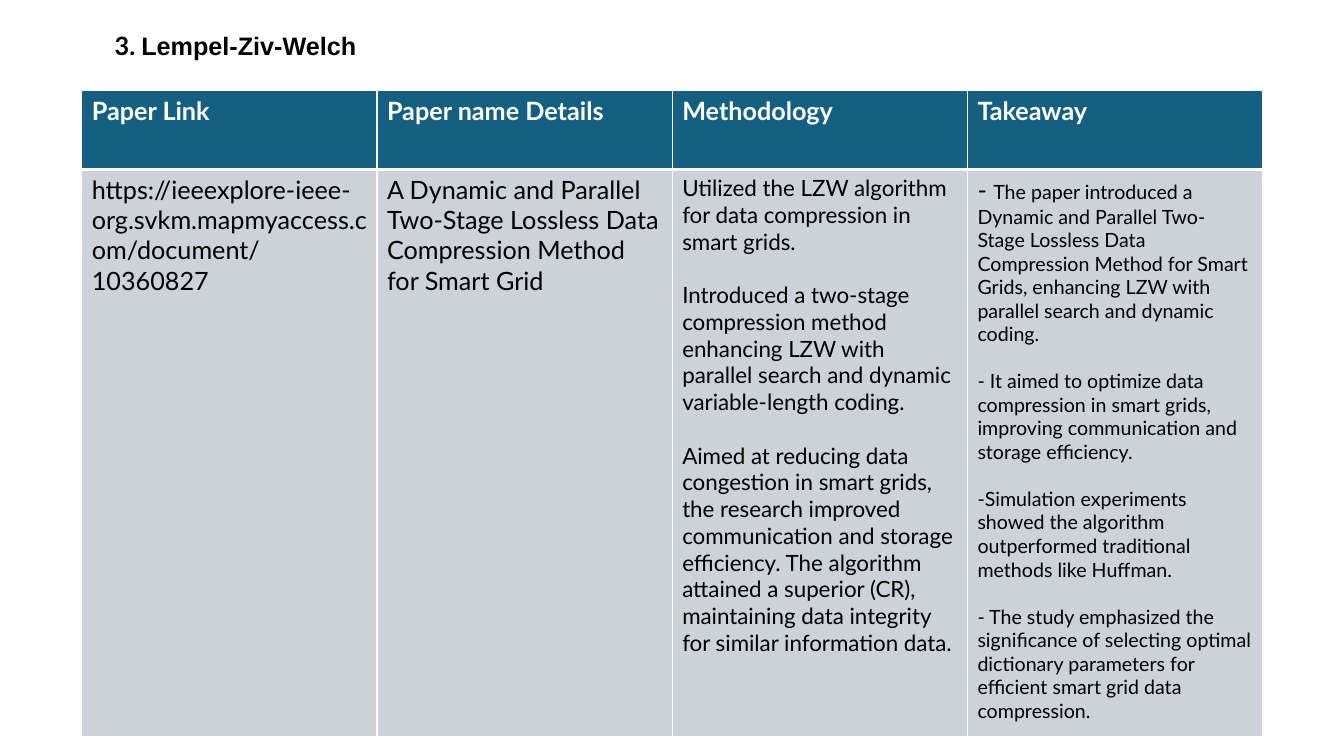
"""Builds the Lempel-Ziv-Welch literature review slide."""
from lxml import etree
from pptx import Presentation
from pptx.dml.color import RGBColor
from pptx.oxml.ns import qn
from pptx.util import Cm, Pt

FONT = "Lato"
WHITE, BLACK, TEAL, GREY = "FFFFFF", "000000", "156082", "CCD2D8"
LINE_HEIGHT = 1.2

HEADING = [("3. ", 18, FONT), ("Lempel-Ziv-Welch", 18, "Arial")]
HEADERS = ["Paper Link", "Paper name Details", "Methodology", "Takeaway"]
LINK = [[("https://ieeexplore-ieee-org.svkm.mapmyaccess.com/document/10360827", 18)]]
PAPER = [[("A Dynamic and Parallel Two-Stage Lossless Data Compression Method for Smart Grid", 18)]]
METHODOLOGY = [
    [("Utilized the LZW algorithm for data compression in smart grids.", 16)],
    [("Introduced a two-stage compression method enhancing LZW with parallel search "
      "and dynamic variable-length coding.", 16)],
    [("Aimed at reducing data congestion in smart grids, the research improved "
      "communication and storage efficiency. The algorithm attained a superior (CR), "
      "maintaining data integrity for similar information data.", 16)],
]
TAKEAWAY = [
    [("- ", 18),
     ("The paper introduced a Dynamic and Parallel Two-Stage Lossless Data Compression "
      "Method for Smart Grids, enhancing LZW with parallel search and dynamic coding.", 14)],
    [("- It aimed to optimize data compression in smart grids, improving communication "
      "and storage efficiency.", 14)],
    [("-Simulation experiments showed the algorithm outperformed traditional methods "
      "like Huffman.", 14)],
    [("- The study emphasized the significance of selecting optimal dictionary parameters "
      "for efficient smart grid data compression.", 14)],
]
HEADER_ROW = [[[(header, 18)]] for header in HEADERS]
PAPER_ROW = [LINK, PAPER, METHODOLOGY, TAKEAWAY]

ROWS = [
    {"cells": HEADER_ROW, "height": 1.98, "fill": TEAL, "color": WHITE, "bold": True,
     "borders": {"L": 1, "R": 1, "T": 1, "B": 3}},
    {"cells": PAPER_ROW, "height": 14.3, "fill": GREY, "color": BLACK, "bold": False,
     "borders": {"L": 1, "R": 1, "T": 3, "B": 1}},
]
TABLE_LEFT, TABLE_TOP, COLUMN_WIDTH = 2.06, 2.29, 7.44


def rgb(code):
    return RGBColor.from_string(code)


def add_run(paragraph, text, size, color, bold, font=FONT):
    run = paragraph.add_run()
    run.text = text
    run.font.size = Pt(size)
    run.font.name = font
    run.font.bold = bold
    run.font.color.rgb = rgb(color)


def add_borders(cell, widths):
    properties = cell._tc.get_or_add_tcPr()
    for side, width in widths.items():
        line = etree.SubElement(properties, qn(f"a:ln{side}"), w=str(Pt(width)))
        solid = etree.SubElement(line, qn("a:solidFill"))
        etree.SubElement(solid, qn("a:srgbClr"), val=WHITE)


def fill_cell(cell, paragraphs, row):
    add_borders(cell, row["borders"])
    cell.fill.solid()
    cell.fill.fore_color.rgb = rgb(row["fill"])
    for index, runs in enumerate(paragraphs):
        if index == 0:
            paragraph = cell.text_frame.paragraphs[0]
        else:
            paragraph = cell.text_frame.add_paragraph()
            paragraph.space_before = Pt(runs[0][1] * LINE_HEIGHT)
        for text, size in runs:
            add_run(paragraph, text, size, row["color"], row["bold"])


def add_paper_table(slide):
    total_height = sum(row["height"] for row in ROWS)
    table = slide.shapes.add_table(
        len(ROWS), len(HEADERS), Cm(TABLE_LEFT), Cm(TABLE_TOP),
        Cm(COLUMN_WIDTH * len(HEADERS)), Cm(total_height)).table
    table.horz_banding = False
    for column in table.columns:
        column.width = Cm(COLUMN_WIDTH)
    for row_index, row in enumerate(ROWS):
        table.rows[row_index].height = Cm(row["height"])
        for column_index, paragraphs in enumerate(row["cells"]):
            fill_cell(table.cell(row_index, column_index), paragraphs, row)


def add_heading(slide):
    heading = slide.shapes.add_textbox(Cm(2.64), Cm(0.64), Cm(8.48), Cm(1.02)).text_frame
    heading.word_wrap = True
    for text, size, font in HEADING:
        add_run(heading.paragraphs[0], text, size, BLACK, True, font)


def main():
    deck = Presentation()
    deck.slide_width, deck.slide_height = Cm(33.87), Cm(19.05)
    slide = deck.slides.add_slide(deck.slide_layouts[6])
    add_paper_table(slide)
    add_heading(slide)
    deck.save("out.pptx")


if __name__ == "__main__":
    main()
